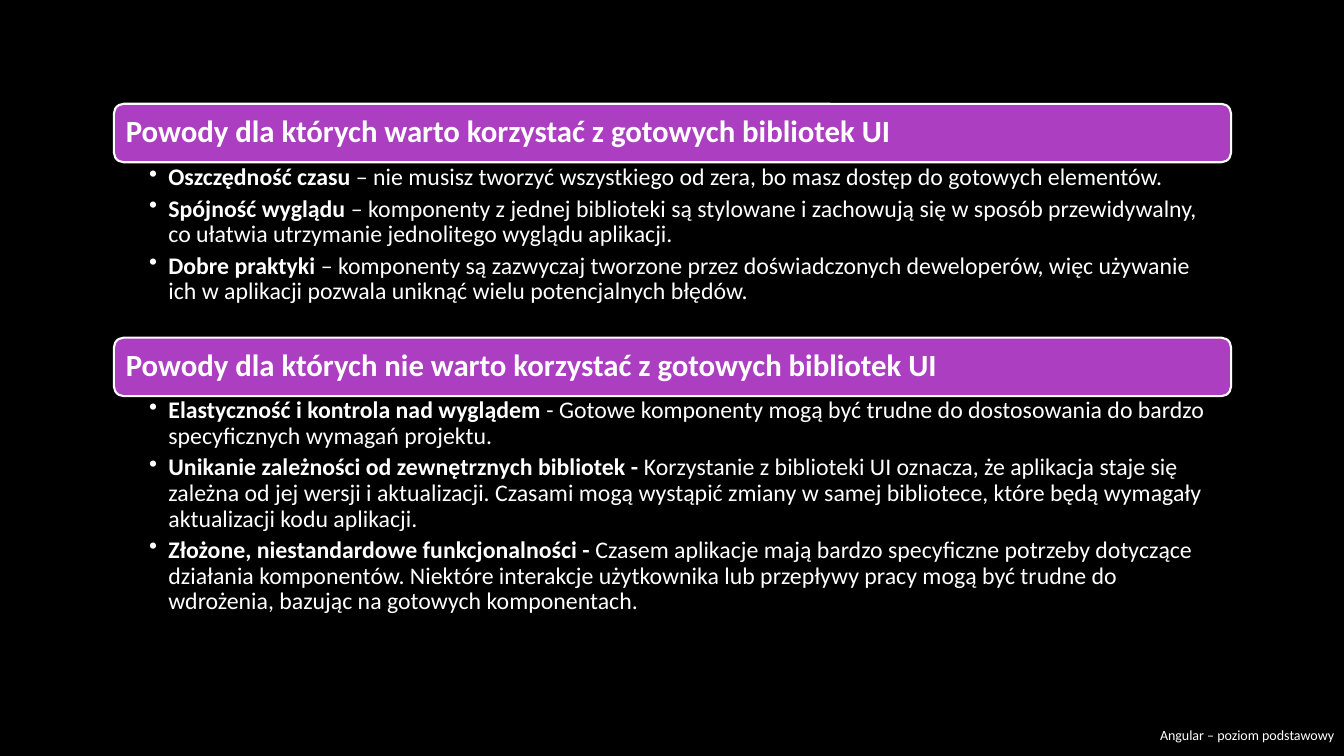
import pptx
import pptx.dml.color
import pptx.enum.shapes
import pptx.enum.text
import pptx.oxml.ns
import pptx.util
from lxml import etree

Inches = pptx.util.Inches
Pt = pptx.util.Pt
ANCHOR = pptx.enum.text.MSO_ANCHOR
ALIGN = pptx.enum.text.PP_ALIGN

COLORS = {"background": "000000", "header": "AC3EC1", "text": "FFFFFF"}
LEFT, WIDTH, HEADER_HEIGHT = 1.13, 11.08, 0.58

SECTIONS = [
    (1.03, 1.74, (0.35, 0.03, 0.17, 0.03),
     "Powody dla których warto korzystać z gotowych bibliotek UI", [
         ("Oszczędność czasu",
          " – nie musisz tworzyć wszystkiego od zera, bo masz dostęp do gotowych elementów."),
         ("Spójność wyglądu",
          " – komponenty z jednej biblioteki są stylowane i zachowują się w sposób "
          "przewidywalny, co ułatwia utrzymanie jednolitego wyglądu aplikacji."),
         ("Dobre praktyki",
          " – komponenty są zazwyczaj tworzone przez doświadczonych deweloperów, więc "
          "używanie ich w aplikacji pozwala uniknąć wielu potencjalnych błędów."),
     ]),
    (3.35, 2.54, (0.35, 0.02, 0.13, 0.02),
     "Powody dla których nie warto korzystać z gotowych bibliotek UI", [
         ("Elastyczność i kontrola nad wyglądem ",
          "- Gotowe komponenty mogą być trudne do dostosowania do bardzo specyficznych "
          "wymagań projektu."),
         ("Unikanie zależności od zewnętrznych bibliotek - ",
          "Korzystanie z biblioteki UI oznacza, że aplikacja staje się zależna od jej "
          "wersji i aktualizacji. Czasami mogą wystąpić zmiany w samej bibliotece, które "
          "będą wymagały aktualizacji kodu aplikacji."),
         ("Złożone, niestandardowe funkcjonalności - ",
          "Czasem aplikacje mają bardzo specyficzne potrzeby dotyczące działania "
          "komponentów. Niektóre interakcje użytkownika lub przepływy pracy mogą być "
          "trudne do wdrożenia, bazując na gotowych komponentach."),
     ]),
]


def rgb(name):
    return pptx.dml.color.RGBColor.from_string(COLORS[name])


def add_run(p, text, size=17, bold=False, color="text"):
    r = p.add_run()
    r.text = text
    r.font.name = "Calibri"
    r.font.size = Pt(size)
    r.font.bold = bold
    r.font.color.rgb = rgb(color)


def set_frame(sp, insets, anchor=ANCHOR.TOP):
    tf = sp.text_frame
    tf.word_wrap = True
    tf.vertical_anchor = anchor
    tf.margin_left, tf.margin_top, tf.margin_right, tf.margin_bottom = map(Inches, insets)
    return tf


def add_bullet(p):
    pPr = p._p.get_or_add_pPr()
    pPr.set("marL", str(Inches(0.19)))
    pPr.set("indent", str(-Inches(0.19)))
    etree.SubElement(pPr, pptx.oxml.ns.qn("a:buChar")).set("char", "•")


def add_header(s, top, text):
    sp = s.shapes.add_shape(pptx.enum.shapes.MSO_SHAPE.ROUNDED_RECTANGLE, Inches(LEFT),
                            Inches(top), Inches(WIDTH), Inches(HEADER_HEIGHT))
    sp.shadow.inherit = False
    sp.fill.solid()
    sp.fill.fore_color.rgb = rgb("header")
    sp.line.color.rgb = rgb("text")
    sp.line.width = Pt(1.5)
    p = set_frame(sp, (0.09, 0.09, 0.09, 0.09), ANCHOR.MIDDLE).paragraphs[0]
    p.alignment = ALIGN.LEFT
    p.line_spacing = 0.9
    add_run(p, text, size=22, bold=True)


def add_reasons(s, top, height, insets, reasons):
    sp = s.shapes.add_textbox(Inches(LEFT), Inches(top), Inches(WIDTH), Inches(height))
    tf = set_frame(sp, insets)
    for i, (lead, detail) in enumerate(reasons):
        p = tf.add_paragraph() if i else tf.paragraphs[0]
        add_bullet(p)
        p.line_spacing = 0.9
        p.space_after = Pt(4)
        add_run(p, lead, bold=True)
        add_run(p, detail)


def add_footer(s, text):
    sp = s.shapes.add_textbox(Inches(11.36), Inches(7.09), Inches(1.97), Inches(0.41))
    p = set_frame(sp, (0.1, 0.05, 0.1, 0.05), ANCHOR.MIDDLE).paragraphs[0]
    p.alignment = ALIGN.RIGHT
    add_run(p, text, size=10)


def main():
    prs = pptx.Presentation()
    prs.slide_width = Inches(13.33)
    prs.slide_height = Inches(7.5)
    s = prs.slides.add_slide(prs.slide_layouts[6])
    s.background.fill.solid()
    s.background.fill.fore_color.rgb = rgb("background")
    for top, height, insets, title, reasons in SECTIONS:
        add_header(s, top, title)
        add_reasons(s, top + HEADER_HEIGHT, height, insets, reasons)
    add_footer(s, "Angular – poziom podstawowy")
    prs.save("out.pptx")


if __name__ == "__main__":
    main()
